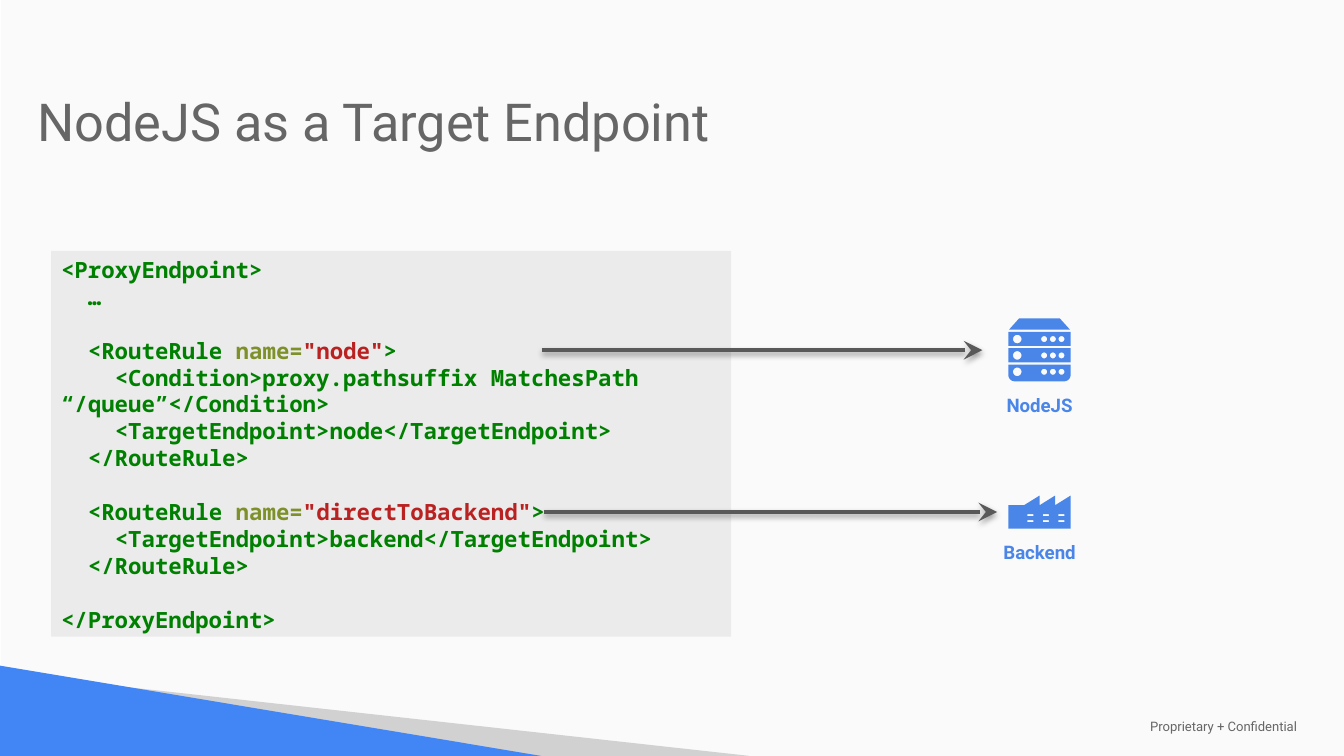
from math import cos, radians, sin
from typing import NamedTuple

from lxml.etree import SubElement
from pptx import Presentation
from pptx.dml.color import RGBColor
from pptx.enum.shapes import MSO_CONNECTOR as Connector
from pptx.enum.shapes import MSO_SHAPE as Shape
from pptx.enum.text import MSO_ANCHOR as Anchor
from pptx.enum.text import PP_ALIGN as Align
from pptx.oxml.ns import qn
from pptx.util import Pt

COLORS = {
    "background": "FAFAFA", "panel": "EBEBEB", "wedge": "D1D1D1",
    "accent": "4285F4", "icon": "4A86E8", "text": "666666",
    "arrow": "595959", "tag": "008000", "attribute": "7D9029",
    "string": "BA2121", "shadow": "000000",
}
WIDTH, HEIGHT = 720, 405
CODE_LINE = 14.4
CODE_INDENT = 14.4

Point = tuple[float, float]


class Box(NamedTuple):
    left: float
    top: float
    width: float
    height: float


class Label(NamedTuple):
    text: str
    box: Box
    size: float
    color: str
    insets: Box  # left, top, right, bottom
    anchor: Anchor = Anchor.TOP
    align: Align = Align.LEFT
    bold: bool = False
    space_after: float = 0


class CodeLine(NamedTuple):
    level: int
    runs: list[tuple[str, str]]
    gap_before: bool = False


class Arrow(NamedTuple):
    start: Point
    end: Point


def tag_line(level: int, text: str, gap_before: bool = False) -> CodeLine:
    return CodeLine(level, [(text, "tag")], gap_before)


def route_rule(name: str) -> CodeLine:
    runs = [("<RouteRule ", "tag"), ("name=", "attribute"),
            (f'"{name}"', "string"), (">", "tag")]
    return CodeLine(1, runs, True)


WIDE_INSETS = Box(7.2, 7.2, 7.2, 7.2)
CAPTION_INSETS = Box(2.9, 2.9, 2.9, 5.8)
LABELS = [
    Label("Proprietary + Confidential", Box(609.1, 383.8, 107.3, 10.1), 7,
          "text", WIDE_INSETS, Anchor.MIDDLE),
    Label("NodeJS as a Target Endpoint", Box(13, 28.8, 520.6, 59.8), 28,
          "text", WIDE_INSETS, Anchor.BOTTOM, space_after=18),
] + [
    Label(text, Box(522, top, 69.8, 18), 10, "icon", CAPTION_INSETS,
          align=Align.CENTER, bold=True)
    for text, top in (("NodeJS", 208.1), ("Backend", 286.6))
]
CODE = [
    tag_line(0, "<ProxyEndpoint>"),
    tag_line(1, "…"),
    route_rule("node"),
    tag_line(2, "<Condition>proxy.pathsuffix MatchesPath “/queue”</Condition>"),
    tag_line(2, "<TargetEndpoint>node</TargetEndpoint>"),
    tag_line(1, "</RouteRule>"),
    route_rule("directToBackend"),
    tag_line(2, "<TargetEndpoint>backend</TargetEndpoint>"),
    tag_line(1, "</RouteRule>"),
    tag_line(0, "</ProxyEndpoint>", True),
]
ARROWS = [Arrow((290.2, 187.6), (526.3, 187.6)),
          Arrow((291.6, 274.3), (534.2, 274.3))]


def rgb(name: str) -> RGBColor:
    return RGBColor.from_string(COLORS[name])


def emu(box: Box) -> list[Pt]:
    return [Pt(value) for value in box]


def paint(shape, color: str) -> None:
    shape.fill.solid()
    shape.fill.fore_color.rgb = rgb(color)
    shape.line.fill.background()
    shape.shadow.inherit = False


def add_panel(slide, box: Box, color: str):
    panel = slide.shapes.add_shape(Shape.RECTANGLE, *emu(box))
    paint(panel, color)
    return panel


def add_outline(slide, contours: list[list[Point]], color: str) -> None:
    """Draw one freeform; contours after the first cut holes in it."""
    builder = None
    for contour in contours:
        start, *rest = [(Pt(x), Pt(y)) for x, y in contour]
        if builder is None:
            builder = slide.shapes.build_freeform(*start)
        else:
            builder.move_to(*start)
        builder.add_line_segments(rest, close=True)
    paint(builder.convert_to_shape(), color)


def arc(x: float, y: float, radius: float, first: int, last: int) -> list[Point]:
    return [(x + radius * cos(radians(angle)), y + radius * sin(radians(angle)))
            for angle in range(first, last + 1, 15)]


def rectangle(box: Box) -> list[Point]:
    left, top, width, height = box
    right, bottom = left + width, top + height
    return [(left, top), (right, top), (right, bottom), (left, bottom)]


def set_frame(frame, insets: Box, anchor: Anchor) -> None:
    frame.word_wrap = True
    frame.vertical_anchor = anchor
    (frame.margin_left, frame.margin_top,
     frame.margin_right, frame.margin_bottom) = emu(insets)


def add_label(slide, label: Label) -> None:
    frame = slide.shapes.add_textbox(*emu(label.box)).text_frame
    set_frame(frame, label.insets, label.anchor)
    paragraph = frame.paragraphs[0]
    paragraph.text = label.text
    paragraph.alignment = label.align
    paragraph.space_after = Pt(label.space_after)
    font = paragraph.font
    font.name, font.size, font.bold = "Roboto", Pt(label.size), label.bold
    font.color.rgb = rgb(label.color)


def add_code(slide, box: Box, lines: list[CodeLine]) -> None:
    frame = add_panel(slide, box, "panel").text_frame
    set_frame(frame, Box(5.3, 2.9, 5.3, 2.9), Anchor.TOP)
    for index, line in enumerate(lines):
        paragraph = frame.add_paragraph() if index else frame.paragraphs[0]
        paragraph.alignment = Align.LEFT
        paragraph.line_spacing = Pt(CODE_LINE)
        paragraph.space_before = Pt(CODE_LINE if line.gap_before else 0)
        font = paragraph.font
        font.name, font.size, font.bold = "Noto Sans Mono", Pt(12), True
        properties = paragraph._p.get_or_add_pPr()
        properties.set("marL", "0")
        properties.set("indent", str(Pt(line.level * CODE_INDENT)))
        for text, color in line.runs:
            run = paragraph.add_run()
            run.text = text
            run.font.color.rgb = rgb(color)


def add_arrow(slide, arrow: Arrow) -> None:
    ends = [Pt(value) for value in arrow.start + arrow.end]
    connector = slide.shapes.add_connector(Connector.STRAIGHT, *ends)
    connector.line.color.rgb = rgb("arrow")
    connector.line.width = Pt(2)
    SubElement(connector.line._get_or_add_ln(), qn("a:tailEnd"),
               type="stealth", w="lg", len="lg")
    effects = SubElement(connector._element.spPr, qn("a:effectLst"))
    shadow = SubElement(effects, qn("a:outerShdw"), blurRad=str(Pt(3.1)),
                        dist=str(Pt(1.6)), dir="5400000", rotWithShape="0")
    color = SubElement(shadow, qn("a:srgbClr"), val=COLORS["shadow"])
    SubElement(color, qn("a:alpha"), val="38000")


def add_server_icon(slide, left: float, top: float, width: float) -> None:
    right = left + width
    add_outline(slide, [[(left + 0.4, top + 6), (left + 5.8, top),
                         (right - 5.8, top), (right - 0.4, top + 6)]], "icon")
    for row in range(3):
        y = top + 7.2 + row * 8.75
        body = rectangle(Box(left, y, width, 7.6))
        if row == 2:
            body = [(left, y), (right, y), *arc(right - 3.4, y + 5.6, 3.4, 0, 90),
                    *arc(left + 3.4, y + 5.6, 3.4, 90, 180)]
        lights = [(4.8, 2.3), (19.2, 1.6), (23.9, 1.6), (28.5, 1.6)]
        holes = [arc(left + x, y + 3.9, radius, 0, 345) for x, radius in lights]
        add_outline(slide, [body, *holes], "icon")


def add_factory_icon(slide, left: float, top: float, width: float) -> None:
    right, eaves, bottom = left + width, top + 5.2, top + 17.7
    body = [(left, bottom), (left, eaves), (left + 8.4, eaves)]
    for peak in (16.8, 25.1):
        body += [(left + peak, top), (left + peak, eaves)]
    body += [(right, top), (right, bottom)]
    windows = [rectangle(Box(left + 10.2 + column * 8.3, top + 10 + row * 3.2, 3.2, 1.1))
               for column in range(3) for row in range(2)]
    add_outline(slide, [body, *windows], "icon")


def main() -> None:
    presentation = Presentation()
    presentation.slide_width, presentation.slide_height = Pt(WIDTH), Pt(HEIGHT)
    slide = presentation.slides.add_slide(presentation.slide_layouts[6])
    add_panel(slide, Box(0.5, 0, WIDTH - 0.5, HEIGHT), "background")
    add_outline(slide, [[(61.5, 367.4), (401.5, HEIGHT), (288.5, HEIGHT)]], "wedge")
    add_outline(slide, [[(0, 356.6), (0, HEIGHT), (290, HEIGHT)]], "accent")
    add_code(slide, Box(27.4, 134.4, 364.3, 206.7), CODE)
    for arrow in ARROWS:
        add_arrow(slide, arrow)
    add_server_icon(slide, 540.2, 170.6, 33.4)
    add_factory_icon(slide, 540.2, 265.5, 33.4)
    for label in LABELS:
        add_label(slide, label)
    presentation.save("out.pptx")


if __name__ == "__main__":
    main()
